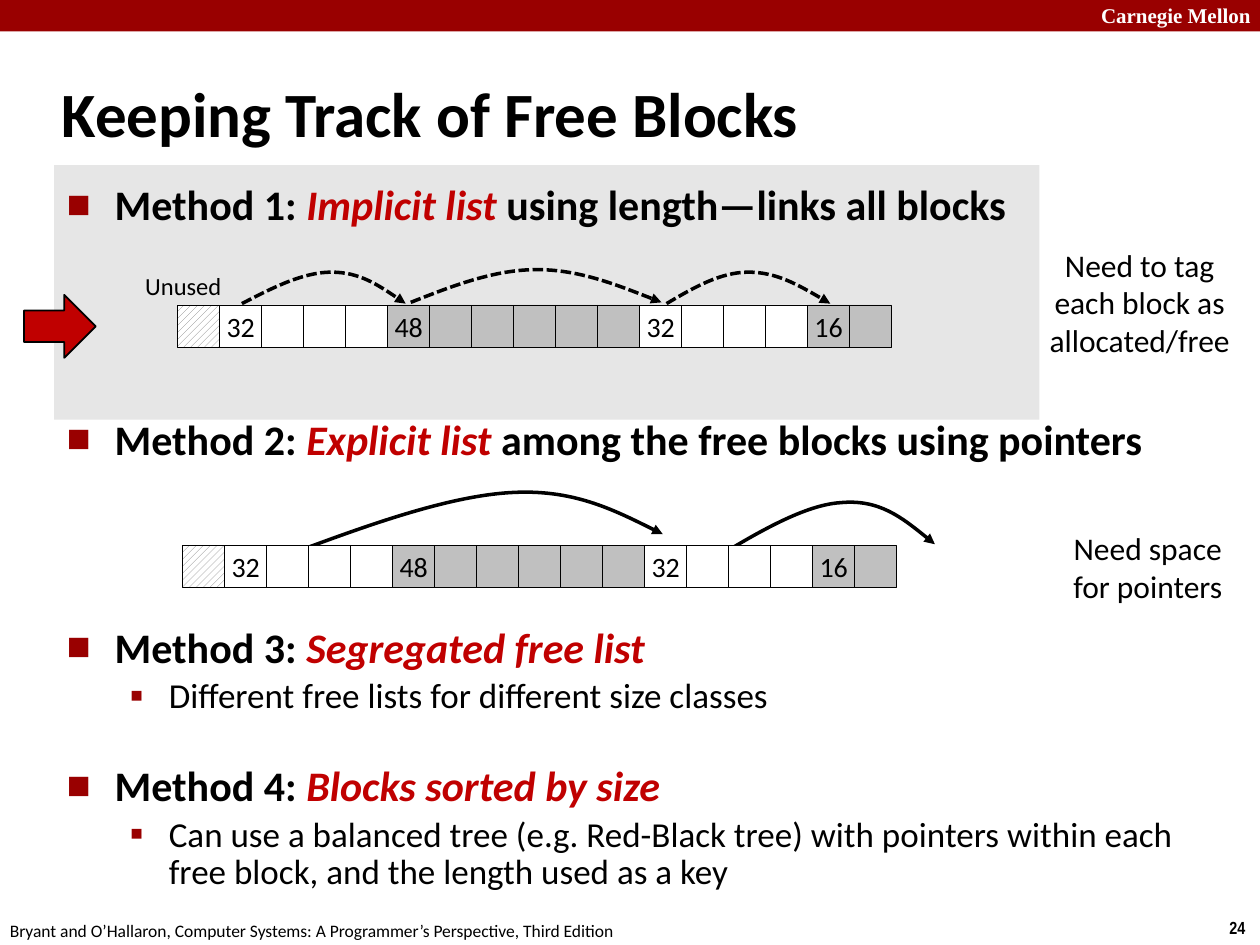
from lxml import etree
from pptx import Presentation
from pptx import util as u
from pptx.dml.color import RGBColor
from pptx.enum import dml, shapes, text
from pptx.oxml.ns import qn

COLORS = {"bar": "990000", "accent": "C00000", "panel": "E6E6E6", "used": "C0C0C0",
          "hatch": "808080", "black": "000000", "white": "FFFFFF"}
RGB = {name: RGBColor.from_string(value) for name, value in COLORS.items()}
Inches, Pt = u.Inches, u.Pt
LEFT, CENTER = text.PP_ALIGN.LEFT, text.PP_ALIGN.CENTER


def add_span(para, words, size, color="black", bold=False, italic=False, face="Calibri"):
    span = para.add_run()
    span.text = words
    font = span.font
    font.name, font.size, font.bold, font.italic = face, Pt(size), bold, italic
    font.color.rgb = RGB[color]


def add_block(parent, kind, place, fill, line_width=0):
    block = parent.add_shape(kind, *[Inches(n) for n in place])
    block.shadow.inherit = False
    block.fill.solid()
    block.fill.fore_color.rgb = RGB[fill]
    if line_width:
        block.line.color.rgb = RGB["black"]
        block.line.width = Pt(line_width)
    else:
        block.line.fill.background()
    return block


deck = Presentation()
deck.slide_width, deck.slide_height = Inches(10), Inches(7.5)
page = deck.slides.add_slide(deck.slide_layouts[1])
title, body = page.shapes.title, page.placeholders[1]

# Header bar and highlighted panel, both behind the text
RECT = shapes.MSO_SHAPE.RECTANGLE
bar = add_block(page.shapes, RECT, (0, 0, 10, 0.25), "bar")
panel = add_block(page.shapes, RECT, (0.43, 1.31, 7.82, 2.02), "panel")
for backdrop in (bar, panel):
    title.element.addprevious(backdrop.element)

# Title
title.left, title.top, title.width, title.height = [Inches(n) for n in (0.39, 0.48, 8.3, 0.83)]
title.text_frame.auto_size = text.MSO_AUTO_SIZE.NONE
title.text_frame.vertical_anchor = text.MSO_ANCHOR.MIDDLE
para = title.text_frame.paragraphs[0]
para.alignment = LEFT
add_span(para, "Keeping Track of Free Blocks", 36, bold=True)

# Methods: level, space before, line spacing, (plain, emphasised, plain) words
methods = [
    (0, 0, 1, ("Method 1: ", "Implicit list ", "using length—links all blocks")),
    (0, 105, 1, ("Method 2: ", "Explicit list ", "among the free blocks using pointers")),
    (0, 95, 0.83, ("Method 3: ", "Segregated free list")),
    (1, 4.3, 0.88, ("Different free lists for different size classes",)),
    (0, 30, 0.83, ("Method 4: ", "Blocks sorted by size")),
    (1, 4.3, 0.88, ("Can use a balanced tree (e.g. Red-Black tree) with pointers within each "
                    "free block, and the length used as a key",)),
]
# Per level: left margin, hanging indent, bullet, bullet size in percent, text size
levels = [(0.38, 0.38, "■", 60, 24), (0.81, 0.31, "▪", 110, 20)]
body.left, body.top, body.width, body.height = [Inches(n) for n in (0.43, 1.37, 9.07, 5.88)]
body.text_frame.auto_size = text.MSO_AUTO_SIZE.NONE
for index, (level, before, spacing, words) in enumerate(methods):
    para = body.text_frame.add_paragraph() if index else body.text_frame.paragraphs[0]
    margin, hang, bullet, percent, size = levels[level]
    para.level, para.line_spacing, para.space_before = level, spacing, Pt(before)
    props = para._p.get_or_add_pPr()
    props.set("marL", str(Inches(margin)))
    props.set("indent", str(-Inches(hang)))
    color = etree.SubElement(props, qn("a:buClr"))
    etree.SubElement(color, qn("a:srgbClr"), val=COLORS["bar"])
    etree.SubElement(props, qn("a:buSzPct"), val=str(percent * 1000))
    etree.SubElement(props, qn("a:buFont"), typeface="Calibri")
    etree.SubElement(props, qn("a:buChar"), char=bullet)
    for position, part in enumerate(words):
        emphasis = position == 1
        add_span(para, part, size, "accent" if emphasis else "black", level == 0, emphasis)

# Curved arrows: start point followed by triples of Bezier points
curves = [
    (True, [(1.92, 2.41), (2.17, 2.28), (2.41, 2.16), (2.63, 2.16),
            (2.85, 2.16), (3.03, 2.28), (3.22, 2.41)]),
    (True, [(3.26, 2.4), (3.59, 2.27), (3.92, 2.14), (4.26, 2.14),
            (4.59, 2.14), (4.92, 2.27), (5.25, 2.4)]),
    (True, [(5.29, 2.41), (5.51, 2.28), (5.72, 2.16), (5.94, 2.16),
            (6.16, 2.16), (6.37, 2.28), (6.59, 2.41)]),
    (False, [(2.27, 4.41), (2.91, 4.17), (3.55, 3.94), (4.05, 3.91),
             (4.54, 3.88), (4.9, 4.06), (5.26, 4.24)]),
    (False, [(5.58, 4.49), (5.97, 4.25), (6.37, 4.01), (6.67, 3.99),
             (6.98, 3.96), (7.2, 4.14), (7.42, 4.32)]),
]
for dashed, points in curves:
    points = [(Inches(x), Inches(y)) for x, y in points]
    builder = page.shapes.build_freeform(*points[0])
    builder.add_line_segments(points[1:], close=False)
    curve = builder.convert_to_shape()
    curve.shadow.inherit = False
    curve.fill.background()
    curve.line.color.rgb = RGB["black"]
    curve.line.width = Pt(2)
    if dashed:
        curve.line.dash_style = dml.MSO_LINE.SQUARE_DOT
        curve.line._ln.find(qn("a:prstDash")).set("val", "sysDash")
    etree.SubElement(curve.line._ln, qn("a:tailEnd"), type="triangle")
    # Merge each three straight segments into one cubic segment
    segments = list(curve.element.iter(qn("a:lnTo")))
    outline = segments[0].getparent()
    for start in range(0, len(segments), 3):
        cubic = etree.SubElement(outline, qn("a:cubicBezTo"))
        for segment in segments[start:start + 3]:
            cubic.append(segment[0])
            outline.remove(segment)

# Memory rows: label, number of cells and fill of each heap block
heap = [("", 1, "white"), ("32", 4, "white"), ("48", 6, "used"), ("32", 4, "white"), ("16", 2, "used")]
CELL = 1 / 3
for left, top in ((1.41, 2.42), (1.45, 4.33)):
    row = page.shapes.add_group_shape().shapes
    for label, count, fill in heap:
        for number in range(count):
            cell = add_block(row, RECT, (left, top, CELL, CELL), fill, 0.25)
            left += CELL
            if not label:
                cell.fill.patterned()
                cell.fill.pattern = dml.MSO_PATTERN.WIDE_UPWARD_DIAGONAL
                cell.fill.fore_color.rgb = RGB["hatch"]
                cell.fill.back_color.rgb = RGB["white"]
            elif number == 0:
                cell.text_frame.word_wrap = False
                cell.text_frame.vertical_anchor = text.MSO_ANCHOR.MIDDLE
                para = cell.text_frame.paragraphs[0]
                para.alignment = CENTER
                add_span(para, label, 16)

# Marker for the current method
add_block(page.shapes, shapes.MSO_SHAPE.RIGHT_ARROW, (0.19, 2.34, 0.57, 0.5), "accent", 1)

# Side notes, row label, header and footer: place, lines, alignment, font
labels = [
    ((8.64, -0.03, 1.43, 0.3), ["Carnegie Mellon"], LEFT, (12, "white", True, False, "Times New Roman")),
    ((9.66, 7.23, 0.34, 0.27), ["24"], LEFT, (10, "black", True, False, "Arial Narrow")),
    ((-0.02, 7.25, 5.08, 0.27),
     ["Bryant and O’Hallaron, Computer Systems: A Programmer’s Perspective, Third Edition"], LEFT, (10,)),
    ((8.22, 1.9, 1.65, 1.01), ["Need to tag", "each block as", "allocated/free"], CENTER, (18,)),
    ((8.39, 4.15, 1.44, 0.71), ["Need space", "for pointers"], CENTER, (18,)),
    ((1.05, 2.1, 0.81, 0.34), ["Unused"], CENTER, (14,)),
]
for place, lines, alignment, font in labels:
    box = page.shapes.add_textbox(*[Inches(n) for n in place])
    box.text_frame.word_wrap = False
    for index, line in enumerate(lines):
        para = box.text_frame.add_paragraph() if index else box.text_frame.paragraphs[0]
        para.alignment = alignment
        add_span(para, line, *font)

deck.save("out.pptx")
